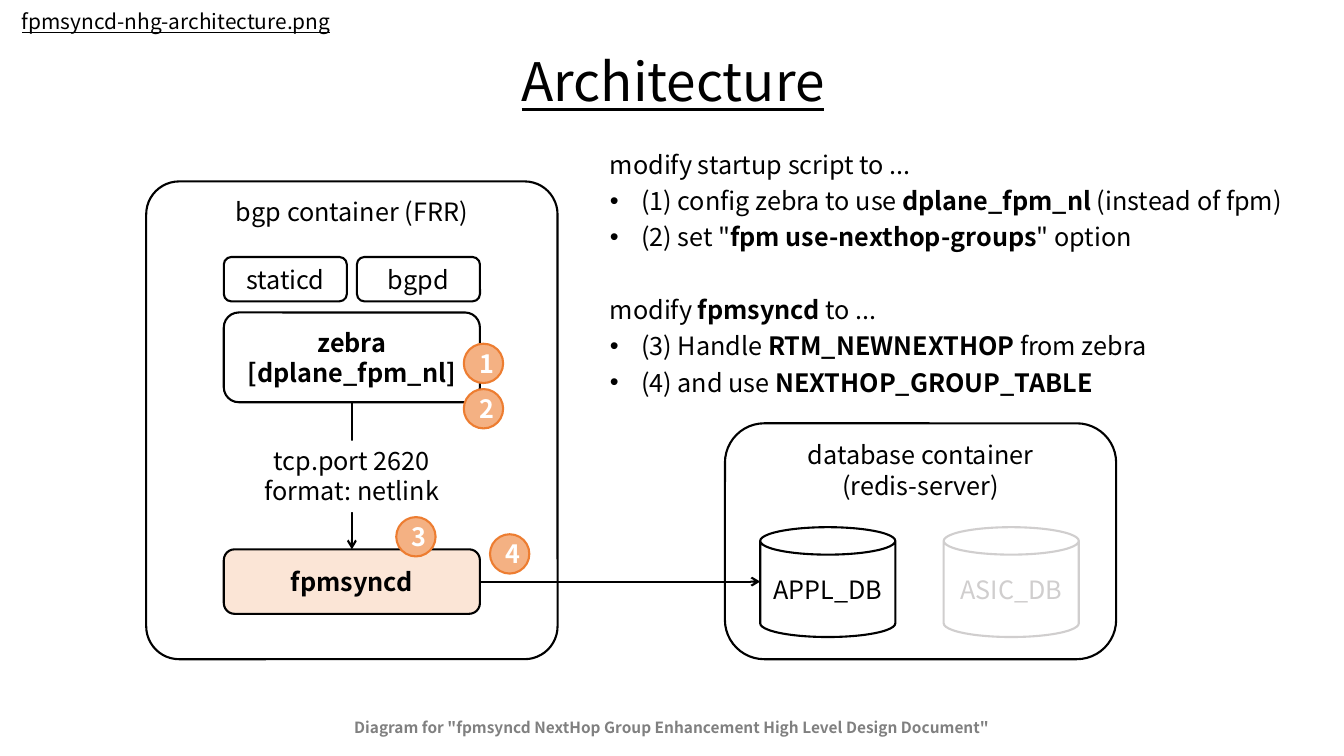
import dataclasses

import pptx
import pptx.dml.color
import pptx.enum.shapes
import pptx.enum.text
import pptx.oxml.xmlchemy
import pptx.util

SHAPE = pptx.enum.shapes.MSO_SHAPE
ALIGN = pptx.enum.text.PP_ALIGN
ANCHOR = pptx.enum.text.MSO_ANCHOR


@dataclasses.dataclass(frozen=True)
class Theme:
    font: str = "Noto Sans CJK JP"
    ink: str = "000000"
    paper: str = "FFFFFF"
    muted: str = "D0CECE"
    caption: str = "808080"
    highlight: str = "FBE5D6"
    badge: str = "F4B183"
    badge_line: str = "ED7D31"
    body_size: float = 18
    title_size: float = 37.9
    file_size: float = 14.9
    caption_size: float = 11
    stroke: float = 1.5


THEME = Theme()
EMU_PER_PX = 9144  # 100 px to the inch
PAGE_SIZE = (1333, 750)

# Places are left, top, width, height in px; ** marks bold text.
FILE_NAME = ("fpmsyncd-nhg-architecture.png", (12, 6, 1193, 29))
TITLE = ("Architecture", (47, 45, 1241, 70))
CAPTION = ('**Diagram for "fpmsyncd NextHop Group Enhancement High Level Design Document"**',
           (165, 708, 1003, 27))
BGP_CONTAINER = ("bgp container (FRR)", (145, 180, 408, 474))
DATABASE_CONTAINER = ("database container\n(redis-server)", (719, 420, 388, 234))

NOTES_PLACE = (595, 137, 727, 263)
NOTES = [
    ("modify startup script to ...",
     ["(1) config zebra to use **dplane_fpm_nl** (instead of fpm)",
      '(2) set "**fpm use-nexthop-groups**" option']),
    ("modify **fpmsyncd** to ...",
     ["(3) Handle **RTM_NEWNEXTHOP** from zebra",
      "(4) and use **NEXTHOP_GROUP_TABLE**"]),
]
NOTE_GAP = 26  # points
NOTE_INDENT = 31

STACK_LEFT, STACK_WIDTH = 222, 254
ROUTING_DAEMONS = ["staticd", "bgpd"]
DAEMON_TOP, DAEMON_HEIGHT, DAEMON_GAP = 255, 44, 10
ZEBRA = ("**zebra**\n**[dplane_fpm_nl]**", 310, 89)
FPMSYNCD = ("**fpmsyncd**", 545, 64)
CHANNEL = ("tcp.port 2620\nformat: netlink", (251, 437, 196, 71))

DATABASES = [("APPL_DB", THEME.ink), ("ASIC_DB", THEME.muted)]
DATABASE_LEFT, DATABASE_TOP, DATABASE_STEP = 754, 523, 182
DATABASE_WIDTH, DATABASE_HEIGHT = 134, 109

BADGE_SIZE = 39
BADGE_CORNERS = [(460, 341), (460, 386), (393, 513), (486, 530)]


def px(length):
    return pptx.util.Emu(length * EMU_PER_PX)


def rgb(color):
    return pptx.dml.color.RGBColor.from_string(color)


def append_element(parent, tag, **attributes):
    element = pptx.oxml.xmlchemy.OxmlElement(tag)
    for key, value in attributes.items():
        element.set(key, value)
    parent.append(element)


def add_para(frame, text, size=THEME.body_size, color=THEME.ink, align=ALIGN.LEFT,
             underline=None, spacing=None, before=None, bullet=False):
    """Write into the frame's first paragraph if it is empty, else into a new one."""
    para = frame.paragraphs[0]
    if para.runs:
        para = frame.add_paragraph()
    para.alignment = align
    if spacing:
        para.line_spacing = spacing
    if before:
        para.space_before = pptx.util.Pt(before)
    if bullet:
        properties = para._p.get_or_add_pPr()
        properties.set("marL", str(px(NOTE_INDENT)))
        properties.set("indent", str(-px(NOTE_INDENT)))
        append_element(properties, "a:buFont", typeface="Arial")
        append_element(properties, "a:buChar", char="•")
    for index, part in enumerate(text.split("**")):
        if part:
            span = para.add_run()
            span.text = part
            span.font.name = THEME.font
            span.font.size = pptx.util.Pt(size)
            span.font.color.rgb = rgb(color)
            span.font.bold = index % 2 == 1
            span.font.underline = underline


def add_text(page, text, place, anchor=ANCHOR.TOP, wrap=True, **style):
    frame = page.shapes.add_textbox(*map(px, place)).text_frame
    frame.word_wrap = wrap
    frame.vertical_anchor = anchor
    add_para(frame, text, **style)
    return frame


def add_box(page, text, place, kind=SHAPE.ROUNDED_RECTANGLE, fill=THEME.paper,
            line=THEME.ink, color=THEME.ink, anchor=ANCHOR.MIDDLE):
    box = page.shapes.add_shape(kind, *map(px, place))
    box.shadow.inherit = False
    box.fill.solid()
    box.fill.fore_color.rgb = rgb(fill)
    if line:
        box.line.color.rgb = rgb(line)
        box.line.width = pptx.util.Pt(THEME.stroke)
    else:
        box.line.fill.background()
    box.text_frame.word_wrap = True
    box.text_frame.vertical_anchor = anchor
    for row in text.split("\n"):
        add_para(box.text_frame, row, color=color, align=ALIGN.CENTER)
    return box


def add_arrow(page, start, end):
    arrow = page.shapes.add_connector(pptx.enum.shapes.MSO_CONNECTOR.STRAIGHT,
                                      *map(px, start + end))
    arrow.line.color.rgb = rgb(THEME.ink)
    arrow.line.width = pptx.util.Pt(THEME.stroke)
    append_element(arrow.line._get_or_add_ln(), "a:tailEnd", type="arrow")
    append_element(arrow._element.spPr, "a:effectLst")
    return arrow


def add_notes(page):
    (heading, items), *later = NOTES
    frame = add_text(page, heading, NOTES_PLACE, spacing=1.2)
    for item in items:
        add_para(frame, item, spacing=1.2, bullet=True)
    for heading, items in later:
        add_para(frame, heading, spacing=1.2, before=NOTE_GAP)
        for item in items:
            add_para(frame, item, spacing=1.2, bullet=True)


def add_diagram(page):
    bgp = add_box(page, *BGP_CONTAINER, anchor=ANCHOR.TOP)
    bgp.adjustments[0] = 0.08
    add_box(page, *DATABASE_CONTAINER, anchor=ANCHOR.TOP)

    daemon_width = (STACK_WIDTH - DAEMON_GAP) // len(ROUTING_DAEMONS)
    for index, name in enumerate(ROUTING_DAEMONS):
        left = STACK_LEFT + index * (daemon_width + DAEMON_GAP)
        add_box(page, name, (left, DAEMON_TOP, daemon_width, DAEMON_HEIGHT))

    name, zebra_top, zebra_height = ZEBRA
    zebra = add_box(page, name, (STACK_LEFT, zebra_top, STACK_WIDTH, zebra_height))
    name, sync_top, sync_height = FPMSYNCD
    fpmsyncd = add_box(page, name, (STACK_LEFT, sync_top, STACK_WIDTH, sync_height),
                       fill=THEME.highlight)

    middle = STACK_LEFT + STACK_WIDTH // 2
    netlink = add_arrow(page, (middle, zebra_top + zebra_height), (middle, sync_top))
    netlink.begin_connect(zebra, 2)
    netlink.end_connect(fpmsyncd, 0)
    add_box(page, *CHANNEL, kind=SHAPE.RECTANGLE, line=None, anchor=ANCHOR.TOP)

    for index, (name, color) in enumerate(DATABASES):
        left = DATABASE_LEFT + index * DATABASE_STEP
        add_box(page, name, (left, DATABASE_TOP, DATABASE_WIDTH, DATABASE_HEIGHT),
                kind=SHAPE.CAN, line=color, color=color)
    level = sync_top + sync_height // 2
    write = add_arrow(page, (STACK_LEFT + STACK_WIDTH, level), (DATABASE_LEFT, level))
    write.begin_connect(fpmsyncd, 3)

    for number, corner in enumerate(BADGE_CORNERS, start=1):
        add_box(page, f"**{number}**", corner + (BADGE_SIZE, BADGE_SIZE), kind=SHAPE.OVAL,
                fill=THEME.badge, line=THEME.badge_line, color=THEME.paper)


def main():
    deck = pptx.Presentation()
    deck.slide_width, deck.slide_height = map(px, PAGE_SIZE)
    page = deck.slides.add_slide(deck.slide_layouts[6])
    add_text(page, *FILE_NAME, size=THEME.file_size, underline=True, spacing=0.9)
    add_text(page, *TITLE, anchor=ANCHOR.MIDDLE, size=THEME.title_size, underline=True,
             align=ALIGN.CENTER, before=13.6)
    add_text(page, *CAPTION, anchor=ANCHOR.MIDDLE, wrap=False, size=THEME.caption_size,
             color=THEME.caption, align=ALIGN.CENTER)
    add_notes(page)
    add_diagram(page)
    deck.save("out.pptx")


if __name__ == "__main__":
    main()
